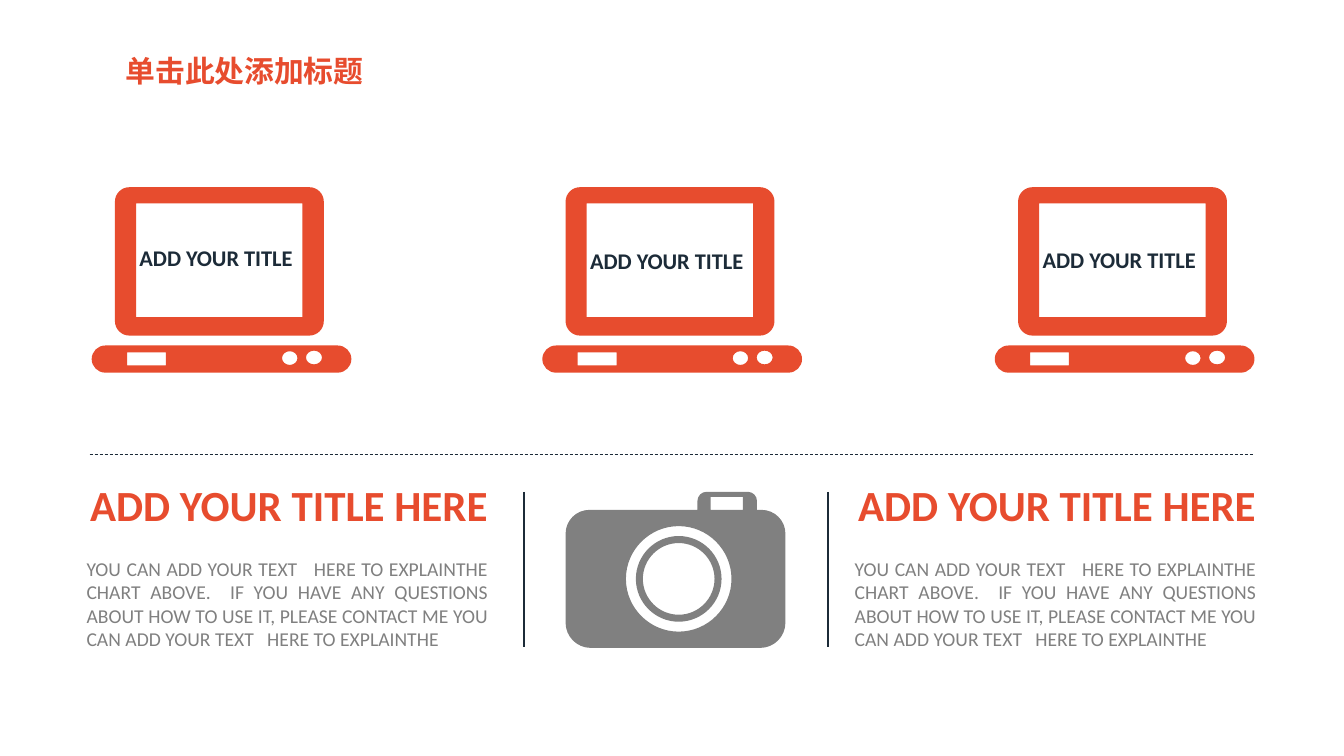
from lxml.etree import SubElement
from pptx import Presentation
from pptx.dml.color import RGBColor
from pptx.enum.dml import MSO_LINE
from pptx.enum.shapes import MSO_CONNECTOR
from pptx.enum.text import MSO_AUTO_SIZE, PP_ALIGN
from pptx.oxml.ns import qn
from pptx.util import Pt

ORANGE = RGBColor(0xE7, 0x4C, 0x2E)
NAVY = RGBColor(0x1C, 0x2B, 0x38)
GRAY = RGBColor(0x80, 0x80, 0x80)

BODY = ("YOU CAN ADD YOUR TEXT   HERE TO EXPLAINTHE CHART ABOVE.  "
        "IF YOU HAVE ANY QUESTIONS ABOUT HOW TO USE IT, PLEASE CONTACT ME "
        "YOU CAN ADD YOUR TEXT   HERE TO EXPLAINTHE ")
LAPTOPS = [(65.5, 170.6), (387.4, 172.8), (710.6, 172.1)]  # left, label top
COLUMNS = [(54.7, 374.6), (603.4, 591.3)]  # text left, divider x
ROUNDNESS = 0.55  # control point distance for a quarter circle


def add_text(slide, text, x, y, w, h, size, color, font="Calibri",
             bold=False, align=PP_ALIGN.LEFT, wrap=True):
    tf = slide.shapes.add_textbox(Pt(x), Pt(y), Pt(w), Pt(h)).text_frame
    tf.word_wrap = wrap
    tf.auto_size = MSO_AUTO_SIZE.SHAPE_TO_FIT_TEXT
    p = tf.paragraphs[0]
    p.alignment = align
    r = p.add_run()
    r.text = text
    r.font.name = font
    r.font.size = Pt(size)
    r.font.bold = bold
    r.font.color.rgb = color


def add_line(slide, x1, y1, x2, y2, width, dash=None):
    line = slide.shapes.add_connector(
        MSO_CONNECTOR.STRAIGHT, Pt(x1), Pt(y1), Pt(x2), Pt(y2))
    line.line.color.rgb = NAVY
    line.line.width = Pt(width)
    if dash:
        line.line.dash_style = dash
    SubElement(line._element.spPr, qn("a:effectLst"))


def curve(start, corner, end):
    """Two control points and the end of a quarter turn around a corner."""
    controls = [tuple(a + (c - a) * ROUNDNESS for a, c in zip(point, corner))
                for point in (start, end)]
    return [*controls, end]


def rounded(x, y, w, h, top=0, bottom=0):
    """Contour of a rectangle: a list of one-point lines and curves."""
    right, low = x + w, y + h
    corners = [((x, y + top), (x, y), (x + top, y)),
               ((right - top, y), (right, y), (right, y + top)),
               ((right, low - bottom), (right, low), (right - bottom, low)),
               ((x + bottom, low), (x, low), (x, low - bottom))]
    segments = []
    for start, corner, end in corners:
        segments.append([start])
        if start != end:
            segments.append(curve(start, corner, end))
    return segments


def ellipse(cx, cy, rx, ry):
    left, up, right, down = cx - rx, cy - ry, cx + rx, cy + ry
    sides = [(left, cy), (cx, up), (right, cy), (cx, down), (left, cy)]
    corners = [(left, up), (right, up), (right, down), (left, down)]
    return [[sides[0]]] + [curve(a, c, b)
                           for a, c, b in zip(sides, corners, sides[1:])]


def add_outline(slide, color, *contours):
    """One filled freeform; inner contours cut holes."""
    builder = None
    for contour in contours:
        start, *rest = [(Pt(x), Pt(y)) for seg in contour for x, y in seg]
        if builder is None:
            builder = slide.shapes.build_freeform(*start)
        else:
            builder.move_to(*start)
        builder.add_line_segments(rest, close=True)
    sp = builder.convert_to_shape()
    sp.fill.solid()
    sp.fill.fore_color.rgb = color
    sp.line.fill.background()
    sp.shadow.inherit = False

    # Join each three points of a curve into one cubic segment
    lines = sp._element.iter(qn("a:lnTo"))
    lines = iter(list(lines))
    for contour in contours:
        for segment in contour[1:]:
            steps = [next(lines) for _ in segment]
            if len(steps) == 3:
                steps[0].tag  # the first step becomes the curve
                cubic = SubElement(steps[0].getparent(), qn("a:cubicBezTo"))
                steps[0].addprevious(cubic)
                for step in steps:
                    cubic.append(step[0])
                    step.getparent().remove(step)


def add_laptop(slide, x, label_y):
    add_outline(slide, ORANGE,
                rounded(x + 16.6, 133.7, 149.2, 106, 10.3, 10.3),
                rounded(x + 31.7, 145.3, 118.8, 81.2))
    add_outline(slide, ORANGE,
                rounded(x, 246.8, 185.5, 19.4, 9.7, 9.7),
                rounded(x + 25.3, 251.8, 27.7, 9.3),
                ellipse(x + 141.5, 255.8, 5.5, 4.9),
                ellipse(x + 158.8, 255.4, 5.7, 4.9))
    add_text(slide, "ADD YOUR TITLE", x + 27, label_y, 128.9, 26.6,
             16, NAVY, bold=True, wrap=False)


def add_camera(slide):
    cx, cy = 484.8, 413.5
    add_outline(slide, GRAY,
                rounded(404, 364.2, 157, 98.6, 17, 18),
                rounded(498.2, 351.3, 42.5, 12.9, 6.5),
                rounded(507.6, 355, 23, 9.2),
                *[ellipse(cx, cy, r, r) for r in (37.7, 30.6, 25.6)])


def add_column(slide, x, divider_x):
    add_text(slide, BODY, x, 394.1, 301, 74.9, 14, GRAY,
             align=PP_ALIGN.JUSTIFY)
    add_text(slide, "ADD YOUR TITLE HERE ", x + 1.1, 338, 308.2, 44.6,
             30.7, ORANGE, bold=True, align=PP_ALIGN.CENTER, wrap=False)
    add_line(slide, divider_x, 351.4, divider_x, 462.2, 1.5)


def main():
    prs = Presentation()
    prs.slide_width, prs.slide_height = Pt(960), Pt(540)
    s = prs.slides.add_slide(prs.slide_layouts[6])

    # Upper row of laptops
    for x, label_y in LAPTOPS:
        add_laptop(s, x, label_y)

    # Lower text columns, separator and camera
    for x, divider_x in COLUMNS:
        add_column(s, x, divider_x)
    add_line(s, 64.1, 324.7, 895.7, 324.7, 0.5, MSO_LINE.DASH)
    add_camera(s)

    # Slide title
    add_text(s, "单击此处添加标题", 82.7, 34.2, 200.2, 33.1, 21.3, ORANGE,
             font="Roboto Condensed", bold=True)

    prs.save("out.pptx")


if __name__ == "__main__":
    main()
